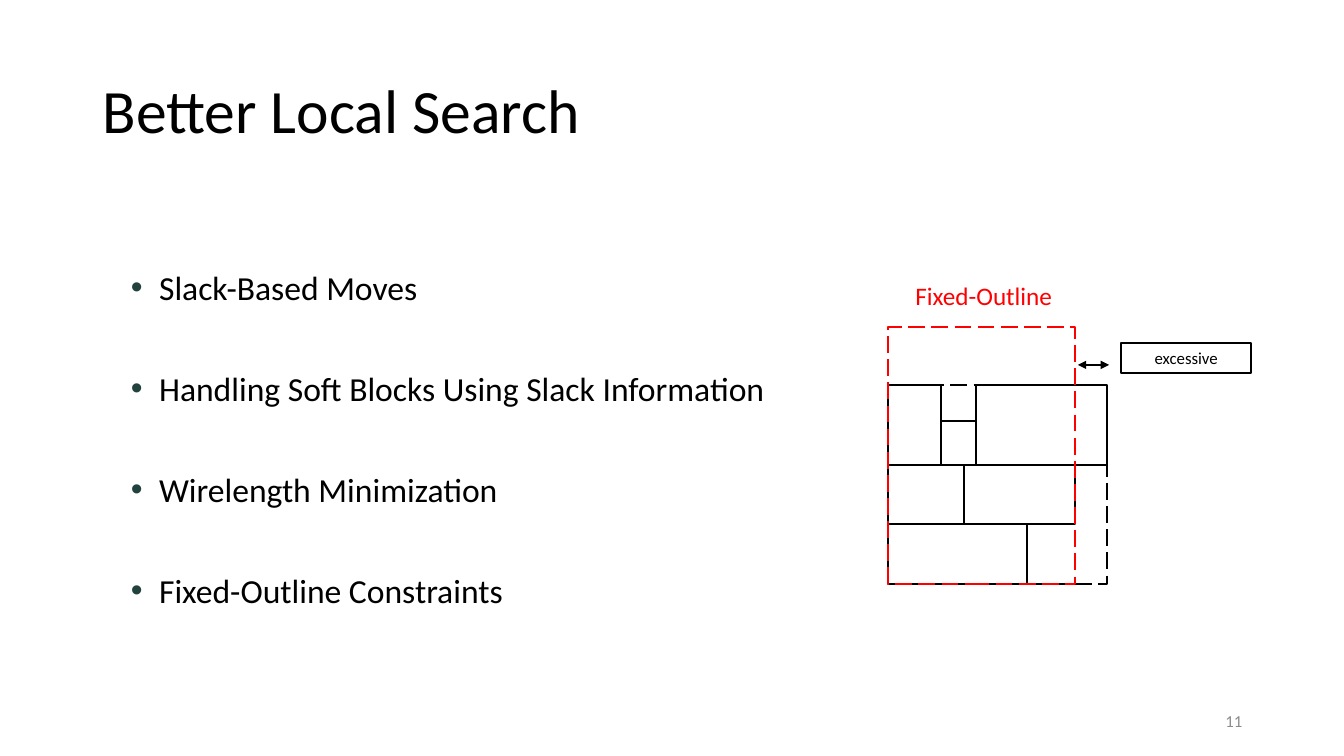
from itertools import pairwise

from lxml.etree import SubElement
from pptx import Presentation
from pptx.dml.color import RGBColor
from pptx.enum.dml import MSO_LINE
from pptx.enum.shapes import MSO_CONNECTOR, MSO_SHAPE
from pptx.enum.text import MSO_ANCHOR as ANCHOR, PP_ALIGN as ALIGN
from pptx.oxml.ns import qn
from pptx.util import Emu, Inches, Pt

TITLE = "Better Local Search"
TOPICS = [
    "Slack-Based Moves",
    "Handling Soft Blocks Using Slack Information",
    "Wirelength Minimization",
    "Fixed-Outline Constraints",
]
OUTLINE_LABEL, EXCESS_LABEL, PAGE = "Fixed-Outline", "excessive", "11"

BLACK, RED, GREY, GREEN = "000000", "FF0000", "8C8C8C", "22423D"
FONT = "Calibri"

# Floorplan: each row of blocks lies between two levels and is cut at these x positions
LEFT, OUTLINE_RIGHT, PLAN_RIGHT = 8.81, 10.66, 10.98
OUTLINE_TOP = 3.24
LEVELS = [3.82, 4.61, 5.2, 5.79]
SLOT = (9.33, 9.68)
SLOT_SPLIT = 4.18
ROWS = [
    [(LEFT, SLOT[0]), (SLOT[1], PLAN_RIGHT)],
    [(LEFT, 9.56), (9.56, OUTLINE_RIGHT)],
    [(LEFT, 10.19)],
]

MARGIN, CONTENT_WIDTH = 0.92, 11.5

prs = Presentation()
prs.slide_width, prs.slide_height = Inches(13.33), Inches(7.5)
shapes = prs.slides.add_slide(prs.slide_layouts[6]).shapes


def rgb(color):
    return RGBColor.from_string(color)


def write(frame, lines, size, color=BLACK, align=ALIGN.LEFT, anchor=ANCHOR.TOP, spacing=1.0):
    frame.word_wrap = True
    frame.vertical_anchor = anchor
    frame.text = "\n".join(lines)
    for paragraph in frame.paragraphs:
        paragraph.alignment = align
        paragraph.line_spacing = spacing
        paragraph.font.name = FONT
        paragraph.font.size = Pt(size)
        paragraph.font.color.rgb = rgb(color)
    return frame.paragraphs


def add_text(left, top, width, height, lines, size, **style):
    box = shapes.add_textbox(*map(Inches, (left, top, width, height)))
    return write(box.text_frame, lines, size, **style)


def indent(paragraph, left, first=0.0):
    properties = paragraph._p.get_or_add_pPr()
    properties.set("marL", str(Inches(left)))
    properties.set("indent", str(Inches(first)))
    return properties


def add_bullet(paragraph):
    properties = indent(paragraph, 0.56, -0.28)
    bullet_color = SubElement(properties, qn("a:buClr"))
    SubElement(bullet_color, qn("a:srgbClr"), val=GREEN)
    SubElement(properties, qn("a:buFont"), typeface="Arial")
    SubElement(properties, qn("a:buChar"), char="•")


def add_frame(left, top, right, bottom, color=BLACK, dashed=False):
    """Draw an unfilled rectangle between two corners."""
    frame = shapes.add_shape(
        MSO_SHAPE.RECTANGLE, *map(Inches, (left, top, right - left, bottom - top)))
    frame.shadow.inherit = False
    frame.fill.background()
    frame.line.color.rgb = rgb(color)
    frame.line.width = Pt(1.5)
    if dashed:
        frame.line.dash_style = MSO_LINE.LONG_DASH
    return frame


def add_double_arrow(start, end, y):
    arrow = shapes.add_connector(
        MSO_CONNECTOR.STRAIGHT, *map(Inches, (start, y, end, y)))
    arrow.line.color.rgb = rgb(BLACK)
    arrow.line.width = Pt(1.5)
    line = arrow.line._get_or_add_ln()
    for tip in ("a:headEnd", "a:tailEnd"):
        SubElement(line, qn(tip), type="triangle")
    SubElement(arrow._element.spPr, qn("a:effectLst"))


add_text(MARGIN, 0.4, CONTENT_WIDTH, 1.45, [TITLE], 44, anchor=ANCHOR.MIDDLE, spacing=0.9)
for topic in add_text(MARGIN, 2, CONTENT_WIDTH, 4.76, TOPICS, 24,
                      align=ALIGN.JUSTIFY, spacing=2.5):
    add_bullet(topic)
add_text(9.42, 6.95, 3, 0.4, [PAGE], 12, color=GREY, align=ALIGN.RIGHT, anchor=ANCHOR.MIDDLE)

add_frame(LEFT, LEVELS[0], PLAN_RIGHT, LEVELS[-1], dashed=True)
for (top, bottom), blocks in zip(pairwise(LEVELS), ROWS):
    for left, right in blocks:
        add_frame(left, top, right, bottom)
add_frame(SLOT[0], SLOT_SPLIT, SLOT[1], LEVELS[1])

add_double_arrow(10.69, 11, 3.62)
excess = add_frame(11.12, 3.4, 12.41, 3.7).text_frame
excess.margin_top = excess.margin_bottom = Emu(0)
write(excess, [EXCESS_LABEL], 12, align=ALIGN.CENTER, anchor=ANCHOR.MIDDLE)

add_frame(LEFT, OUTLINE_TOP, OUTLINE_RIGHT, LEVELS[-1], color=RED, dashed=True)
[outline_label] = add_text(8.7, 2.52, 2.07, 0.55, [OUTLINE_LABEL], 18, color=RED,
                           align=ALIGN.JUSTIFY, spacing=1.69)
indent(outline_label, 0.28)

prs.save("out.pptx")
